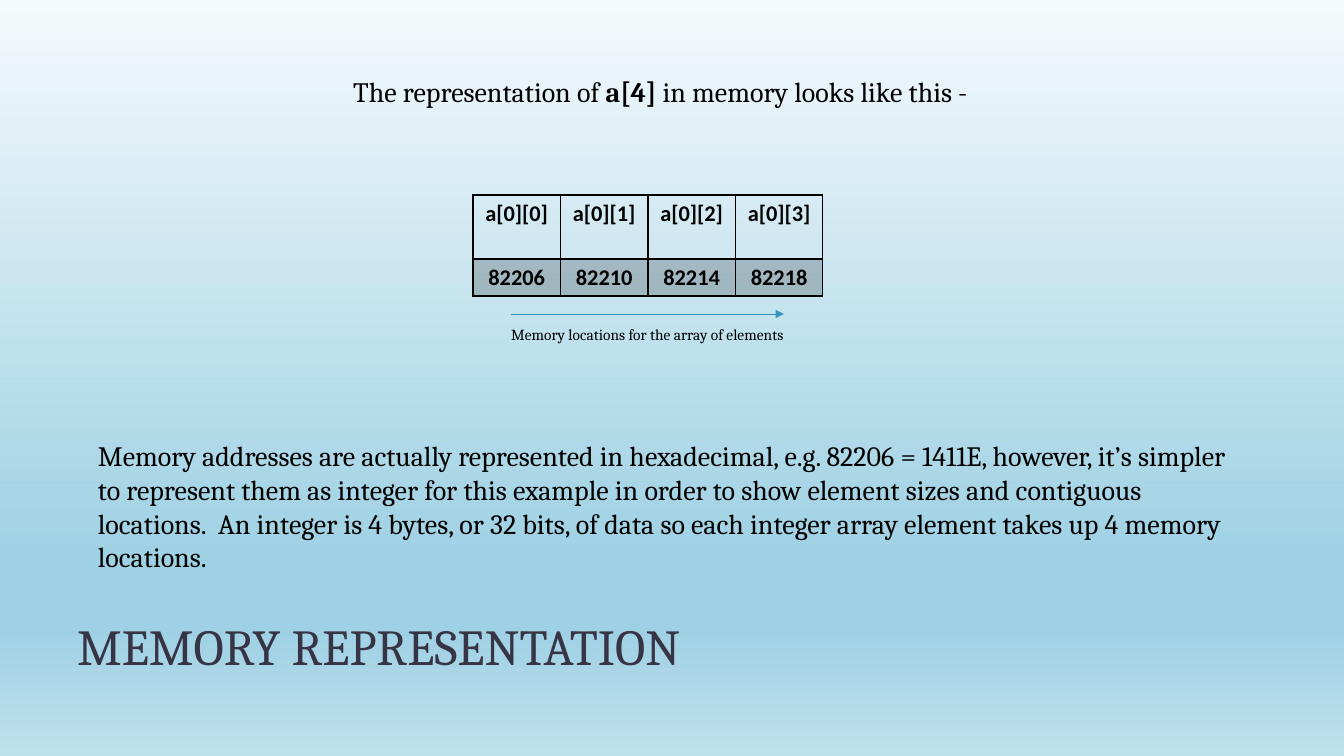
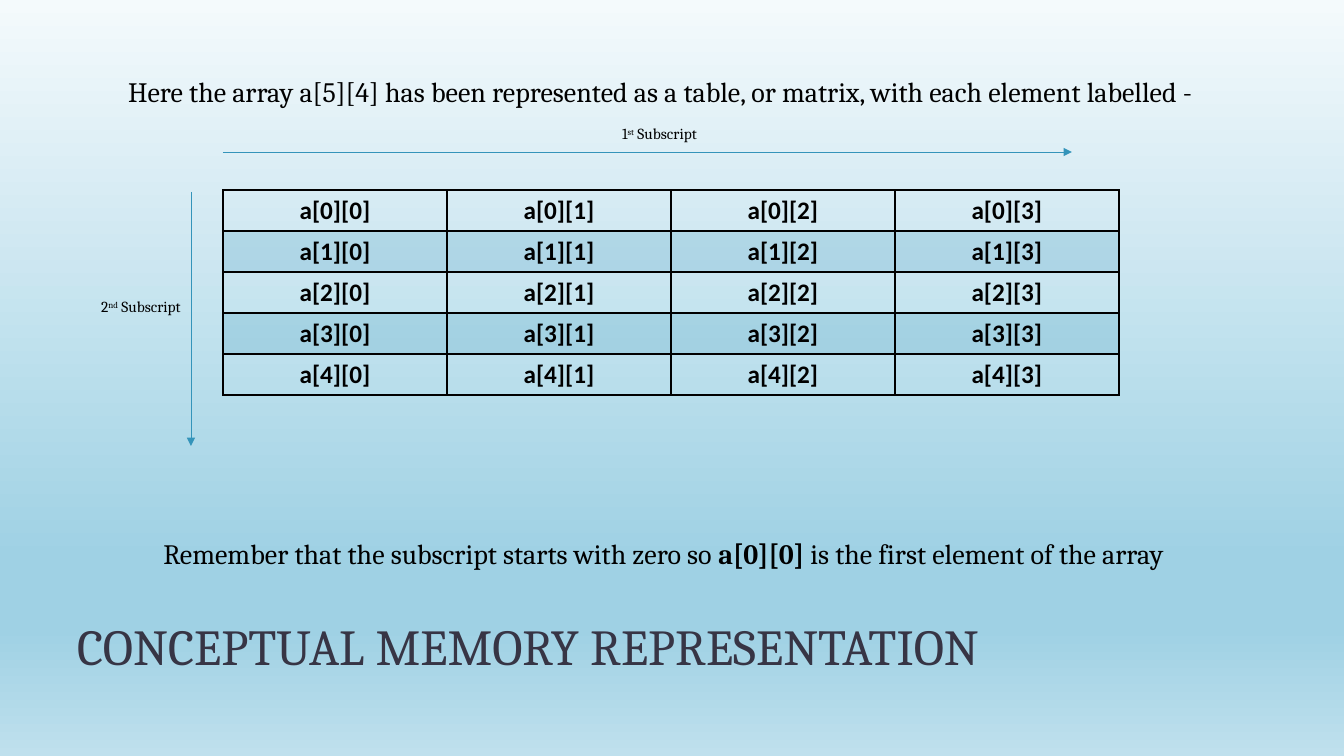
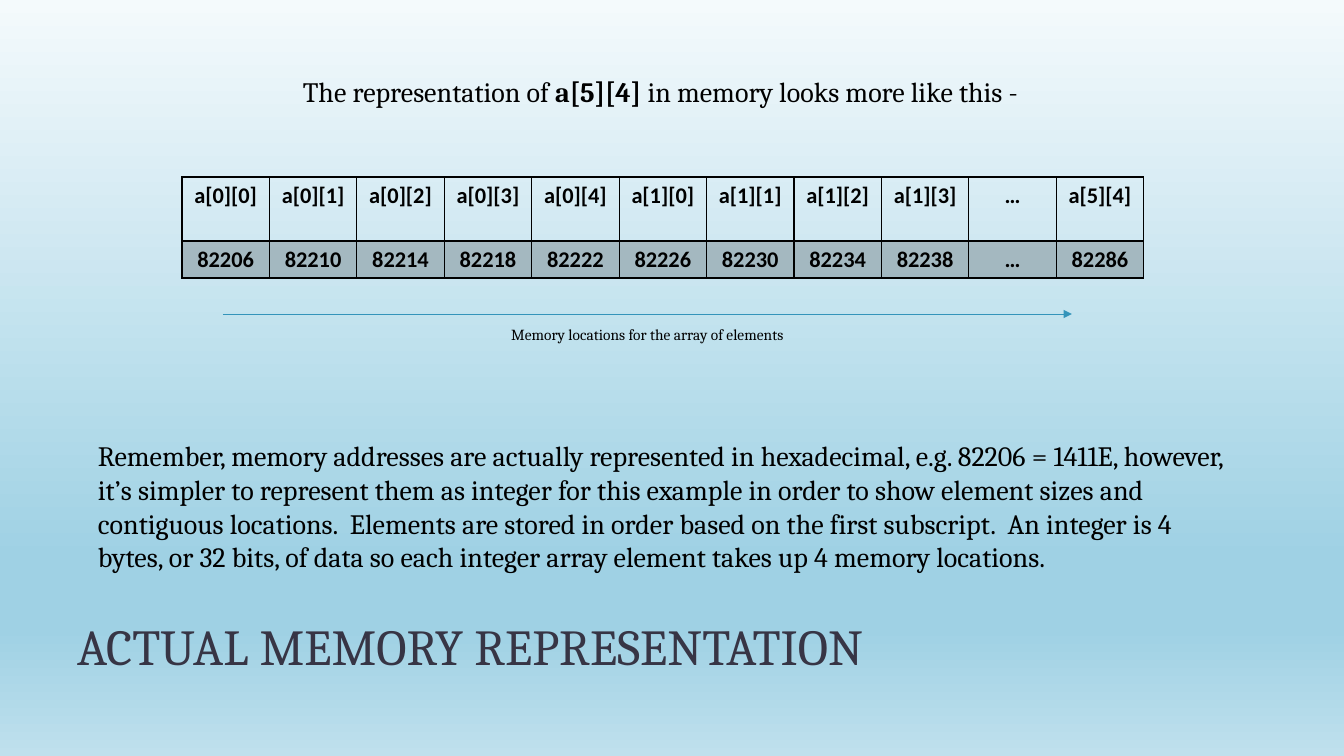
from lxml import etree
from pptx import Presentation
from pptx.dml.color import RGBColor
from pptx.enum.shapes import MSO_CONNECTOR
from pptx.enum.text import MSO_ANCHOR, PP_ALIGN
from pptx.oxml.ns import qn
from pptx.util import Pt

LEFT, CENTER = PP_ALIGN.LEFT, PP_ALIGN.CENTER
MIDDLE, BOTTOM = MSO_ANCHOR.MIDDLE, MSO_ANCHOR.BOTTOM
STRAIGHT = MSO_CONNECTOR.STRAIGHT

BLACK = RGBColor(0x00, 0x00, 0x00)
SLATE = RGBColor(0x37, 0x35, 0x45)
TEAL = RGBColor(0x34, 0x94, 0xBA)
FROST = RGBColor(0xF4, 0xFA, 0xFC)
SKY = RGBColor(0x9F, 0xD1, 0xE4)
PALE = RGBColor(0xBF, 0xE0, 0xED)

SERIF, SANS = "Cambria", "Calibri"
SCALE = 914400 / 100.8
WIDE, HIGH = 1344, 756
TITLE = (67, 562, 1210, 118)
LEAD = (85, 69, 1151, 44)
NOTE = (88, 433, 1151, 146)
LABEL = (465, 320, 365, 29)
LABEL_TEXT = "Memory locations for the array of elements"


def px(*nums):
    """Turn pixels into EMU."""
    return [round(n * SCALE) for n in nums]


def sub(node, tag, **attrs):
    """Append a child element."""
    return etree.SubElement(node, qn(tag), attrs)


def paint(master):
    """Give the master its sky gradient."""
    fill = master.background.fill
    fill.gradient()
    fill.gradient_angle = 270
    stops = master.element.xpath(".//p:bg//a:gsLst")[0]
    for old in list(stops):
        stops.remove(old)
    for pos, tint in ((0, FROST), (74, SKY), (83, SKY), (100, PALE)):
        stop = sub(stops, "a:gs", pos=str(pos * 1000))
        sub(stop, "a:srgbClr", val=str(tint))


def write(para, text, size, face=SERIF, tint=BLACK, bold=False):
    """Add one run to a paragraph."""
    run = para.add_run()
    run.text = text
    font = run.font
    font.name, font.size, font.bold = face, Pt(size), bold
    font.color.rgb = tint
    return run


def start(deck, title):
    """Add a slide with its title."""
    slide = deck.slides.add_slide(deck.slide_layouts[5])
    head = slide.shapes.title
    head.left, head.top, head.width, head.height = px(*TITLE)
    frame = head.text_frame
    frame.vertical_anchor = BOTTOM
    para = frame.paragraphs[0]
    para.alignment, para.line_spacing = LEFT, 0.8
    write(para, title, 36, tint=SLATE)
    return slide


def say(slide, box, runs, size=20, align=CENTER):
    """Add a text box of (text, style) runs."""
    frame = slide.shapes.add_textbox(*px(*box)).text_frame
    frame.word_wrap = True
    frame.vertical_anchor = MIDDLE
    para = frame.paragraphs[0]
    para.alignment = align
    for text, style in runs:
        run = write(para, text, size, bold=style == "bold")
        if style == "super":
            run._r.get_or_add_rPr().set("baseline", "30000")


def arrow(slide, *ends):
    """Draw a thin arrow from x, y to x, y."""
    link = slide.shapes.add_connector(STRAIGHT, *px(*ends))
    link.line.color.rgb = TEAL
    link.line.width = Pt(0.5)
    sub(link.get_or_add_ln(), "a:tailEnd", type="triangle")
    sub(link._element.spPr, "a:effectLst")


def edge(cell):
    """Draw black borders around a cell."""
    props = cell._tc.get_or_add_tcPr()
    for side in ("L", "R", "T", "B"):
        line = sub(props, "a:ln" + side, w=str(Pt(1)))
        sub(sub(line, "a:solidFill"), "a:srgbClr", val=str(BLACK))


def shade(cell, tint):
    """Fill a cell with a faint tint."""
    cell.fill.solid()
    cell.fill.fore_color.rgb = tint
    color = cell._tc.tcPr.xpath("./a:solidFill/a:srgbClr")[0]
    sub(color, "a:alpha", val="20000")


def grid(slide, spot, width, tall, rows, size, tint):
    """Place a table, tinting every second row."""
    count = len(rows[0])
    box = px(*spot, width, sum(tall))
    table = slide.shapes.add_table(len(rows), count, *box).table
    table.first_row = table.horz_banding = False
    for col in table.columns:
        col.width = px(width / count)[0]
    for i, texts in enumerate(rows):
        table.rows[i].height = px(tall[i])[0]
        for j, text in enumerate(texts):
            cell = table.cell(i, j)
            edge(cell)
            if i % 2:
                shade(cell, tint)
            else:
                cell.fill.background()
            para = cell.text_frame.paragraphs[0]
            para.alignment = CENTER
            write(para, text, size, SANS, bold=True)


def memory(deck, title, name, tail, spot, width, rows, span, note):
    """Build a slide of elements and their addresses."""
    slide = start(deck, title)
    say(slide, LEAD, [("The representation of ", ""), (name, "bold"), (tail, "")])
    grid(slide, spot, width, (64, 37), rows, 16, BLACK)
    arrow(slide, span[0], 314, span[1], 314)
    say(slide, LABEL, [(LABEL_TEXT, "")], 11)
    say(slide, NOTE, [(note, "")], align=LEFT)


def concept(deck):
    """Build the slide of the array as a matrix."""
    slide = start(deck, "CONCEPTUAL MEMORY REPRESENTATION")
    say(slide, LEAD, [("Here the array a[5][4] has been represented as a table, "
                       "or matrix, with each element labelled -", "")])
    arrow(slide, 191, 192, 191, 446)
    arrow(slide, 223, 152, 1072, 152)
    for box, num, mark in (((608, 119, 103, 29), "1", "st"),
                           ((85, 292, 112, 29), "2", "nd")):
        say(slide, box, [(num, ""), (mark, "super"), (" Subscript", "")], 11)
    say(slide, (88, 531, 1151, 44),
        [("Remember that the subscript starts with zero so ", ""),
         ("a[0][0] ", "bold"), ("is the first element of the array", "")])
    rows = [[f"a[{i}][{j}]" for j in range(4)] for i in range(5)]
    grid(slide, (223, 190), 896, [41] * 5, rows, 18, TEAL)


def cells(count, cols):
    """List element names above their addresses."""
    names = ["a[{}][{}]".format(*divmod(n, cols)) for n in range(count)]
    return [names, [str(82206 + 4 * n) for n in range(count)]]


def main():
    """Build and save the deck."""
    deck = Presentation()
    deck.slide_width, deck.slide_height = px(WIDE, HIGH)
    paint(deck.slide_master)

    shared = ("emory addresses are actually represented in hexadecimal, "
              "e.g. 82206 = 1411E, however, it’s simpler to represent them as "
              "integer for this example in order to show element sizes and "
              "contiguous locations.  ")
    bytes_text = ("An integer is 4 bytes, or 32 bits, of data so each integer "
                  "array element takes up 4 memory locations.")

    memory(deck, "MEMORY REPRESENTATION", "a[4]", " in memory looks like this -",
           (473, 195), 350, cells(4, 4), (511, 784), "M" + shared + bytes_text)
    concept(deck)
    names, places = cells(9, 5)
    rows = [names + ["…", "a[5][4]"], places + ["…", "82286"]]
    memory(deck, "ACTUAL MEMORY REPRESENTATION", "a[5][4]",
           " in memory looks more like this -", (182, 177), 962, rows, (223, 1072),
           "Remember, m" + shared + "Elements are stored in order based on the "
           "first subscript.  " + bytes_text)
    deck.save("out.pptx")


main()
